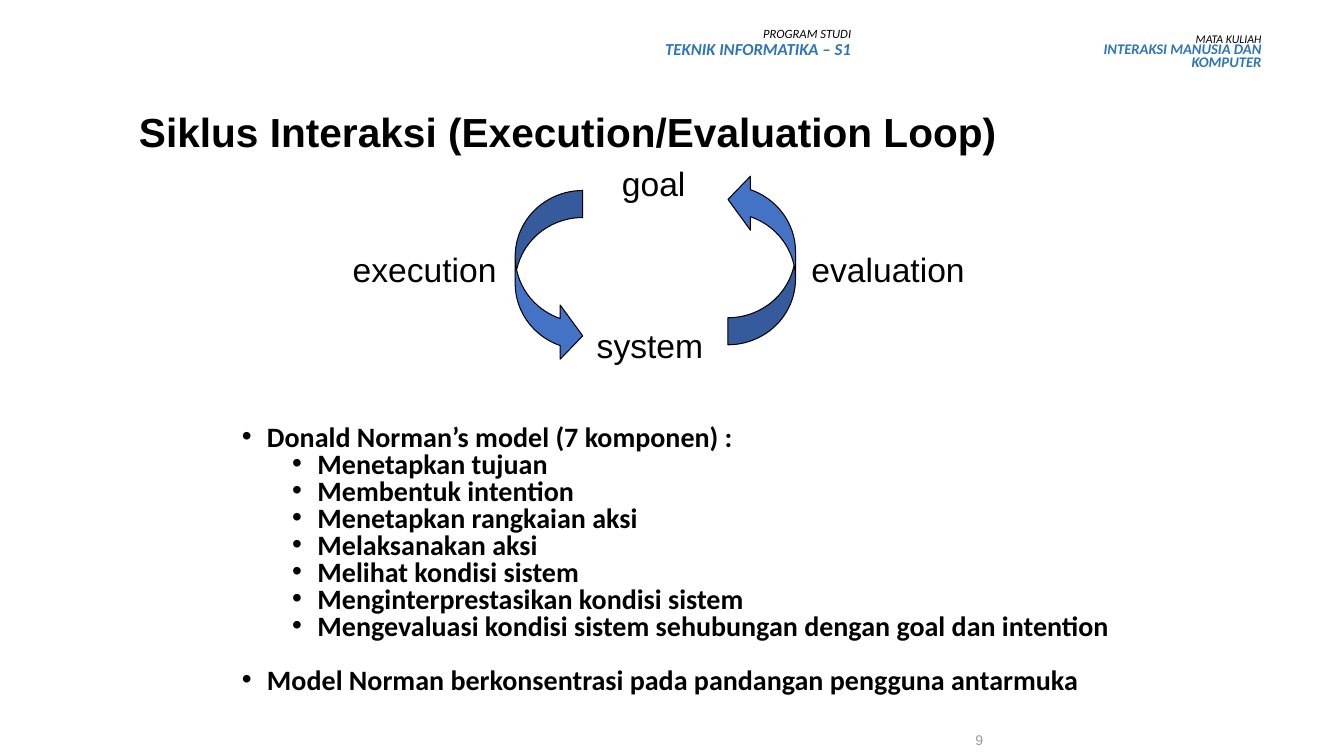
from lxml.etree import SubElement
from pptx import Presentation
from pptx.dml.color import RGBColor
from pptx.enum.shapes import MSO_SHAPE
from pptx.enum.text import MSO_ANCHOR, MSO_AUTO_SIZE, PP_ALIGN
from pptx.oxml.ns import qn
from pptx.util import Inches, Pt

COLORS = {"text": "000000", "accent": "2E75B6", "arrow": "4472C4", "number": "9B9A98"}
NO_INSETS = {f"margin_{side}": 0 for side in ("left", "top", "right", "bottom")}
COMPONENTS = [
    "Menetapkan tujuan",
    "Membentuk intention",
    "Menetapkan rangkaian aksi",
    "Melaksanakan aksi",
    "Melihat kondisi sistem",
    "Menginterprestasikan kondisi sistem",
    "Mengevaluasi kondisi sistem sehubungan dengan goal dan intention",
]


def apply(target, values):
    for name, value in values.items():
        setattr(target, name, value)


class LectureSlide:
    def __init__(self, slide):
        self.shapes = slide.shapes

    def frame(self, box, **settings):
        frame = self.shapes.add_textbox(*map(Inches, box)).text_frame
        apply(frame, {"word_wrap": True, **settings})
        return frame

    def line(self, frame, text, size, font="Arial", color="text", style=None, layout=None):
        first = frame.paragraphs[0]
        paragraph = frame.add_paragraph() if first.runs else first
        apply(paragraph, layout or {})
        run = paragraph.add_run()
        run.text = text
        apply(run.font, {"name": font, "size": Pt(size), **(style or {})})
        run.font.color.rgb = RGBColor.from_string(COLORS[color])
        return paragraph

    def bullet(self, frame, text, level=0, gap=0):
        layout = {"level": level, "line_spacing": 0.8, "space_before": Pt(gap)}
        paragraph = self.line(frame, text, 20, "Calibri", style={"bold": True}, layout=layout)
        properties = paragraph._p.get_or_add_pPr()
        properties.set("marL", str(Inches(0.25 + 0.5 * level)))
        properties.set("indent", str(Inches(-0.25)))
        SubElement(properties, qn("a:buFont")).set("typeface", "Arial")
        SubElement(properties, qn("a:buChar")).set("char", "•")

    def header(self, box, caption, name, size, spacing):
        frame = self.frame(box)
        layout = {"alignment": PP_ALIGN.RIGHT, "line_spacing": spacing}
        self.line(frame, caption, size, "Calibri", style={"italic": True}, layout=layout)
        self.line(frame, name, size * 1.25 if size < 9 else 12, "Calibri", "accent",
                  {"italic": True, "bold": True}, layout)

    def stage(self, text, left, top, width):
        frame = self.frame((left, top, width, 0.5), word_wrap=False,
                           auto_size=MSO_AUTO_SIZE.SHAPE_TO_FIT_TEXT)
        self.line(frame, text, 24)

    def loop_arrow(self, left, top, rotation):
        arrow = self.shapes.add_shape(MSO_SHAPE.CURVED_RIGHT_ARROW,
                                      *map(Inches, (left, top, 0.67, 1.71)))
        arrow.shadow.inherit = False
        arrow.rotation = rotation
        for index, value in enumerate((0.4, 0.8, 0.333)):
            arrow.adjustments[index] = value
        arrow.fill.solid()
        arrow.fill.fore_color.rgb = RGBColor.from_string(COLORS["arrow"])
        arrow.line.color.rgb = RGBColor.from_string(COLORS["text"])
        arrow.line.width = Pt(0.75)


def main():
    deck = Presentation()
    apply(deck, {"slide_width": Inches(13.33), "slide_height": Inches(7.5)})
    lecture = LectureSlide(deck.slides.add_slide(deck.slide_layouts[6]))

    title = lecture.frame((1.28, 0.94, 9, 0.78), vertical_anchor=MSO_ANCHOR.MIDDLE)
    lecture.line(title, "Siklus Interaksi (Execution/Evaluation Loop)", 29,
                 style={"bold": True}, layout={"line_spacing": 0.9})

    model = lecture.frame((2.3, 4.18, 9, 3.2))
    lecture.bullet(model, "Donald Norman’s model (7 komponen) :")
    for component in COMPONENTS:
        lecture.bullet(model, component, level=1)
    lecture.bullet(model, "Model Norman berkonsentrasi pada pandangan pengguna antarmuka", gap=19.5)

    for stage in (("system", 5.82, 3.17, 1.26), ("evaluation", 7.95, 2.42, 1.72),
                  ("execution", 3.4, 2.42, 1.63), ("goal", 6.07, 1.57, 0.83)):
        lecture.stage(*stage)
    lecture.loop_arrow(5.11, 1.89, 0)
    lecture.loop_arrow(7.22, 1.71, 180)

    number = lecture.frame((8.92, 7.02, 0.83, 0.4), vertical_anchor=MSO_ANCHOR.BOTTOM, **NO_INSETS)
    lecture.line(number, "9", 10, color="number", layout={"alignment": PP_ALIGN.RIGHT})

    lecture.header((6.03, 0.22, 2.51, 0.56), "PROGRAM STUDI", "TEKNIK INFORMATIKA – S1", 9, 0.9)
    lecture.header((10.41, 0.3, 2.2, 0.48), "MATA KULIAH", "INTERAKSI MANUSIA DAN KOMPUTER", 8.4, 0.7)

    deck.save("out.pptx")


if __name__ == "__main__":
    main()
